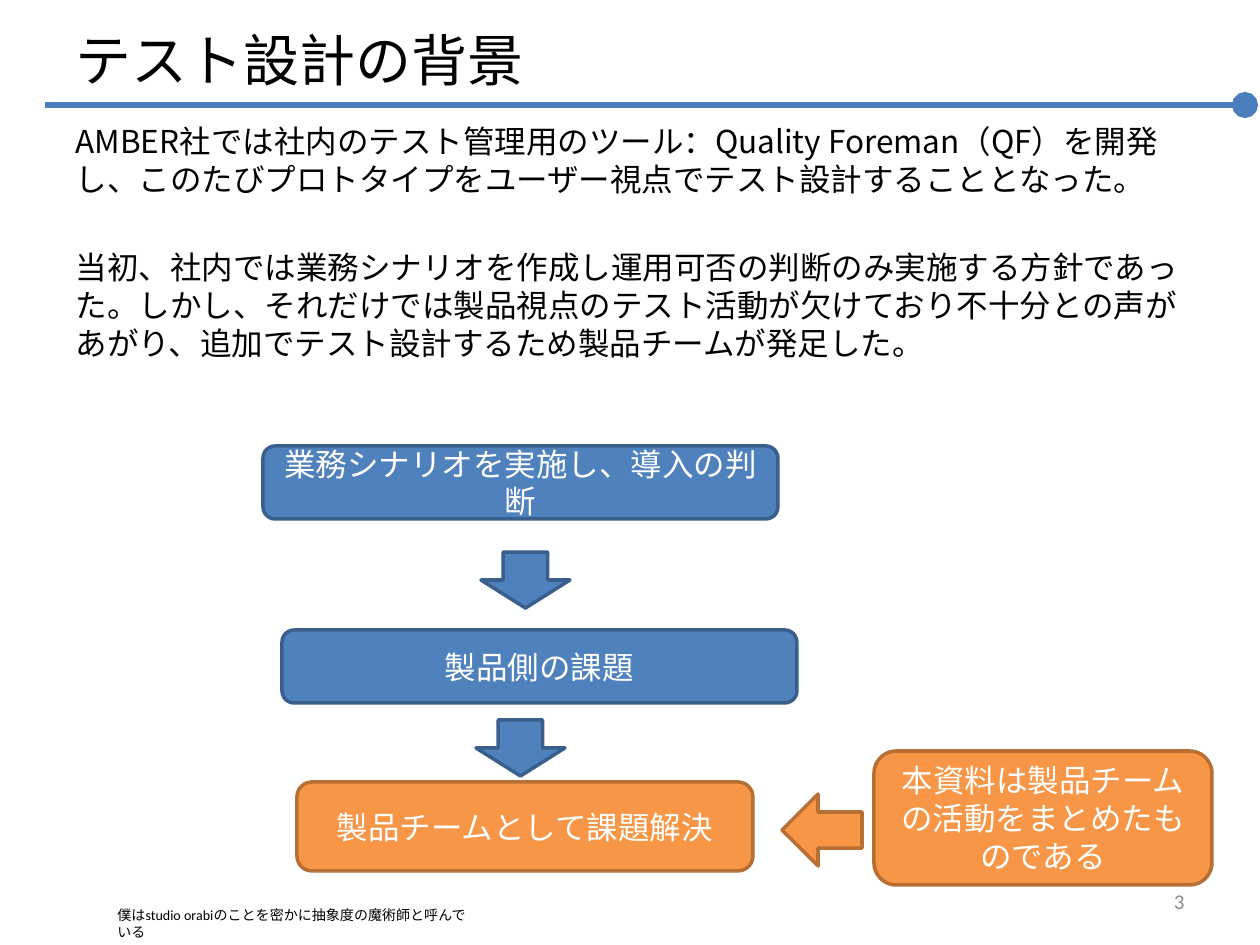
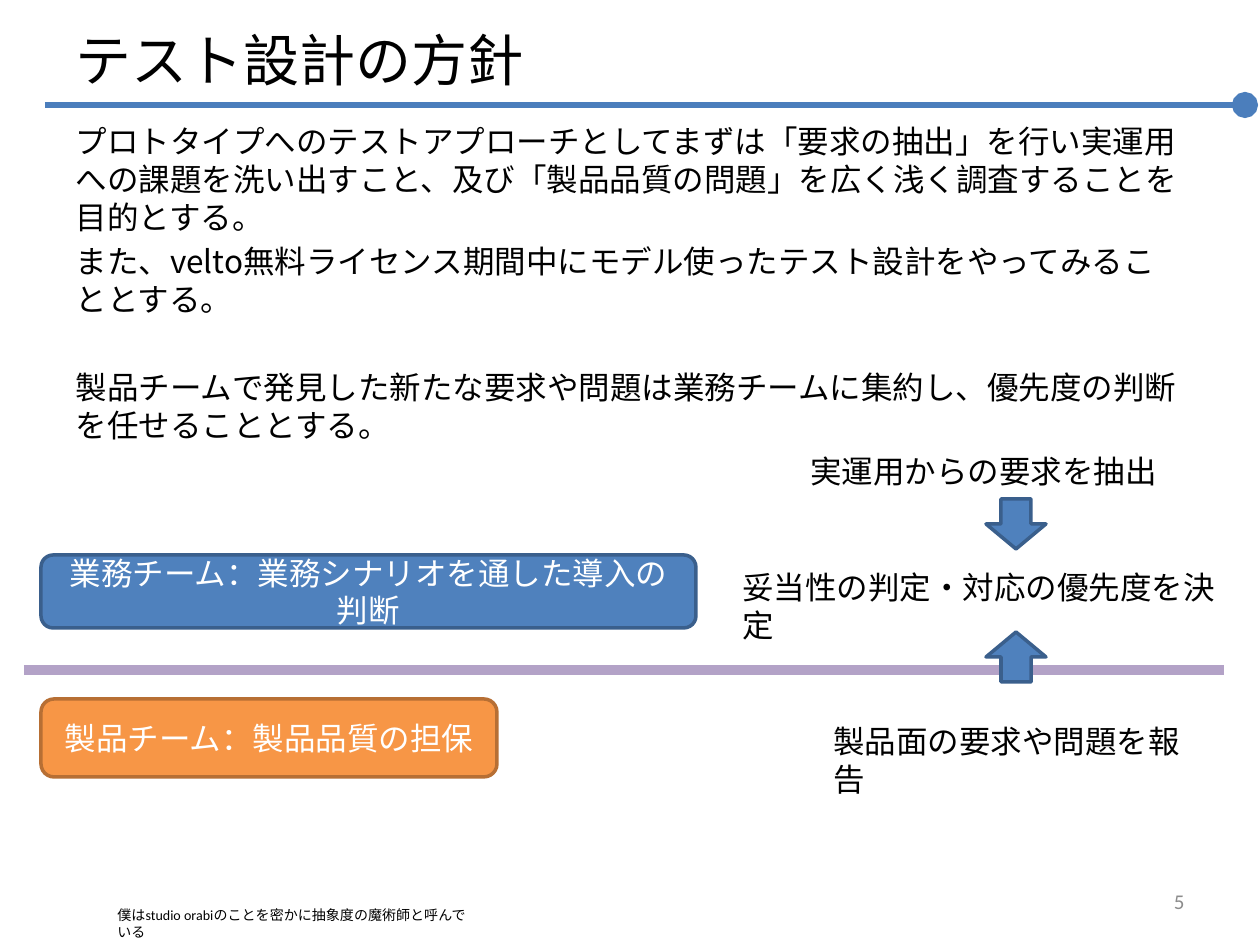
"""Build two slides on the background and the policy of a test design."""
from lxml.etree import SubElement
from pptx import Presentation
from pptx.dml.color import RGBColor
from pptx.enum.shapes import MSO_CONNECTOR, MSO_SHAPE
from pptx.enum.text import MSO_ANCHOR, MSO_AUTO_SIZE, PP_ALIGN
from pptx.oxml.ns import qn
from pptx.util import Emu, Pt

PX = 914400 / 126
LATIN, JAPANESE = "Calibri", "Noto Sans CJK JP"
BLACK, WHITE, GRAY = "000000", "FFFFFF", "8C8C8C"
RULE, DIVIDER = "4B7EBC", "B3A2C7"
BLUE, ORANGE = ("4F81BD", "3A5F8C"), ("F79646", "B76F34")
BOX, DOWN, RIGHT = MSO_SHAPE.ROUNDED_RECTANGLE, MSO_SHAPE.DOWN_ARROW, MSO_SHAPE.RIGHT_ARROW
BODY_SIZE, LINE_FACTOR, GAP_FACTOR = 18, 1.2, 0.2

TITLE_AREA = (63, 16, 1134, 87)
BODY_AREA = (63, 116, 1134, 735)
NUMBER_AREA = (903, 876, 294, 50)
FOOTER_AREA = (105, 900, 386, 30)
FOOTER = "僕はstudio orabiのことを密かに抽象度の魔術師と呼んでいる"

SLIDES = [
    {
        "title": "テスト設計の背景",
        "number": "3",
        "sections": [
            ["AMBER社では社内のテスト管理用のツール：Quality Foreman（QF）を開発し、"
             "このたびプロトタイプをユーザー視点でテスト設計することとなった。"],
            ["当初、社内では業務シナリオを作成し運用可否の判断のみ実施する方針であった。"
             "しかし、それだけでは製品視点のテスト活動が欠けており不十分との声があがり、"
             "追加でテスト設計するため製品チームが発足した。"],
        ],
        "dividers": [],
        "shapes": [
            (BOX, (297, 782, 456, 89), ORANGE, 0, "製品チームとして課題解決"),
            (BOX, (263, 446, 515, 73), BLUE, 0, "業務シナリオを実施し、導入の判断"),
            (DOWN, (481, 552, 89, 56), BLUE, 0, ""),
            (BOX, (282, 630, 515, 73), BLUE, 0, "製品側の課題"),
            (DOWN, (476, 720, 89, 56), BLUE, 0, ""),
            (RIGHT, (782, 794, 80, 72), ORANGE, 180, ""),
            (BOX, (874, 751, 338, 134), ORANGE, 0, "本資料は製品チームの活動をまとめたものである"),
        ],
        "labels": [],
    },
    {
        "title": "テスト設計の方針",
        "number": "5",
        "sections": [
            ["プロトタイプへのテストアプローチとしてまずは「要求の抽出」を行い実運用への課題を"
             "洗い出すこと、及び「製品品質の問題」を広く浅く調査することを目的とする。",
             "また、velto無料ライセンス期間中にモデル使ったテスト設計をやってみることとする。"],
            ["製品チームで発見した新たな要求や問題は業務チームに集約し、"
             "優先度の判断を任せることとする。"],
        ],
        "dividers": [(24, 670, 1224)],
        "shapes": [
            (BOX, (41, 699, 456, 78), ORANGE, 0, "製品チーム：製品品質の担保"),
            (BOX, (41, 555, 655, 73), BLUE, 0, "業務チーム：業務シナリオを通した導入の判断"),
            (DOWN, (986, 632, 60, 50), BLUE, 180, ""),
            (DOWN, (986, 499, 60, 50), BLUE, 0, ""),
        ],
        "labels": [
            ((821, 716, 402, 50), "製品面の要求や問題を報告", True),
            ((730, 562, 514, 89), "妥当性の判定・対応の優先度を決定", False),
            ((798, 446, 475, 50), "実運用からの要求を抽出", True),
        ],
    },
]


def px(*lengths):
    return [Emu(round(length * PX)) for length in lengths]


def color(hex_value):
    return RGBColor.from_string(hex_value)


def place(shape, area):
    shape.left, shape.top, shape.width, shape.height = px(*area)


def style(text_frame, size, hex_value, alignment=PP_ALIGN.LEFT, latin=LATIN):
    for paragraph in text_frame.paragraphs:
        paragraph.alignment = alignment
        paragraph.line_spacing = Pt(size * LINE_FACTOR)
        for run in paragraph.runs:
            run.font.size = Pt(size)
            run.font.name = latin
            run.font.color.rgb = color(hex_value)
            SubElement(run.font._element, qn("a:ea"), typeface=JAPANESE)


def add_line(slide, start, y, end, hex_value, width):
    line = slide.shapes.add_connector(MSO_CONNECTOR.STRAIGHT, *px(start, y, end, y))
    line.line.color.rgb = color(hex_value)
    line.line.width = Pt(width)
    SubElement(line.element.spPr, qn("a:effectLst"))
    return line


def add_shape(slide, kind, area, colors, rotation, text):
    shape = slide.shapes.add_shape(kind, *px(*area))
    fill, outline = colors
    shape.shadow.inherit = False
    shape.fill.solid()
    shape.fill.fore_color.rgb = color(fill)
    shape.line.color.rgb = color(outline)
    shape.line.width = Pt(2)
    shape.rotation = rotation
    if text:
        shape.text_frame.text = text
        shape.text_frame.word_wrap = True
        shape.text_frame.vertical_anchor = MSO_ANCHOR.MIDDLE
        style(shape.text_frame, BODY_SIZE, WHITE, PP_ALIGN.CENTER)


def add_label(slide, area, text, wrap=True, size=BODY_SIZE, hex_value=BLACK,
              alignment=PP_ALIGN.LEFT, anchor=MSO_ANCHOR.TOP):
    text_frame = slide.shapes.add_textbox(*px(*area)).text_frame
    text_frame.text = text
    text_frame.word_wrap = wrap
    text_frame.vertical_anchor = anchor
    style(text_frame, size, hex_value, alignment)


def fill_title(slide, text):
    text_frame = slide.shapes.title.text_frame
    text_frame.text = text
    text_frame.auto_size = MSO_AUTO_SIZE.NONE
    text_frame.vertical_anchor = MSO_ANCHOR.MIDDLE
    style(text_frame, 32, BLACK, latin=JAPANESE)


def fill_body(slide, sections):
    text_frame = slide.placeholders[1].text_frame
    text_frame.text = "\n".join(text for section in sections for text in section)
    text_frame.auto_size = MSO_AUTO_SIZE.NONE
    text_frame.vertical_anchor = MSO_ANCHOR.TOP
    style(text_frame, BODY_SIZE, BLACK, latin=JAPANESE)
    gap = BODY_SIZE * GAP_FACTOR
    section_gap = 2 * gap + BODY_SIZE * LINE_FACTOR
    gaps = [gap if index else section_gap
            for section in sections for index in range(len(section))]
    gaps[0] = 0
    for paragraph, space in zip(text_frame.paragraphs, gaps):
        paragraph.space_before = Pt(space)
        properties = paragraph._p.get_or_add_pPr()
        properties.set("marL", "0")
        properties.set("indent", "0")
        SubElement(properties, qn("a:buNone"))


def prepare_layout(presentation):
    layout = presentation.slide_layouts[1]
    for placeholder, area in zip(layout.placeholders, (TITLE_AREA, BODY_AREA)):
        place(placeholder, area)
    return layout


def add_title_rule(slide, layout):
    rule = add_line(slide, 45, 105, 1245, RULE, 3)
    SubElement(rule.line._get_or_add_ln(), qn("a:tailEnd"), type="oval", w="lg", len="lg")
    layout.placeholders[0].element.getparent().append(rule.element)


def build_slide(slide, content):
    fill_title(slide, content["title"])
    fill_body(slide, content["sections"])
    add_label(slide, NUMBER_AREA, content["number"], size=12, hex_value=GRAY,
              alignment=PP_ALIGN.RIGHT, anchor=MSO_ANCHOR.MIDDLE)
    for start, y, end in content["dividers"]:
        add_line(slide, start, y, end, DIVIDER, 6)
    for shape in content["shapes"]:
        add_shape(slide, *shape)
    for label in content["labels"]:
        add_label(slide, *label)
    add_label(slide, FOOTER_AREA, FOOTER, size=8)


def main():
    presentation = Presentation()
    presentation.slide_width, presentation.slide_height = px(1260, 945)
    layout = prepare_layout(presentation)
    slides = [presentation.slides.add_slide(layout) for _ in SLIDES]
    add_title_rule(slides[0], layout)
    for slide, content in zip(slides, SLIDES):
        build_slide(slide, content)
    presentation.save("out.pptx")


if __name__ == "__main__":
    main()
